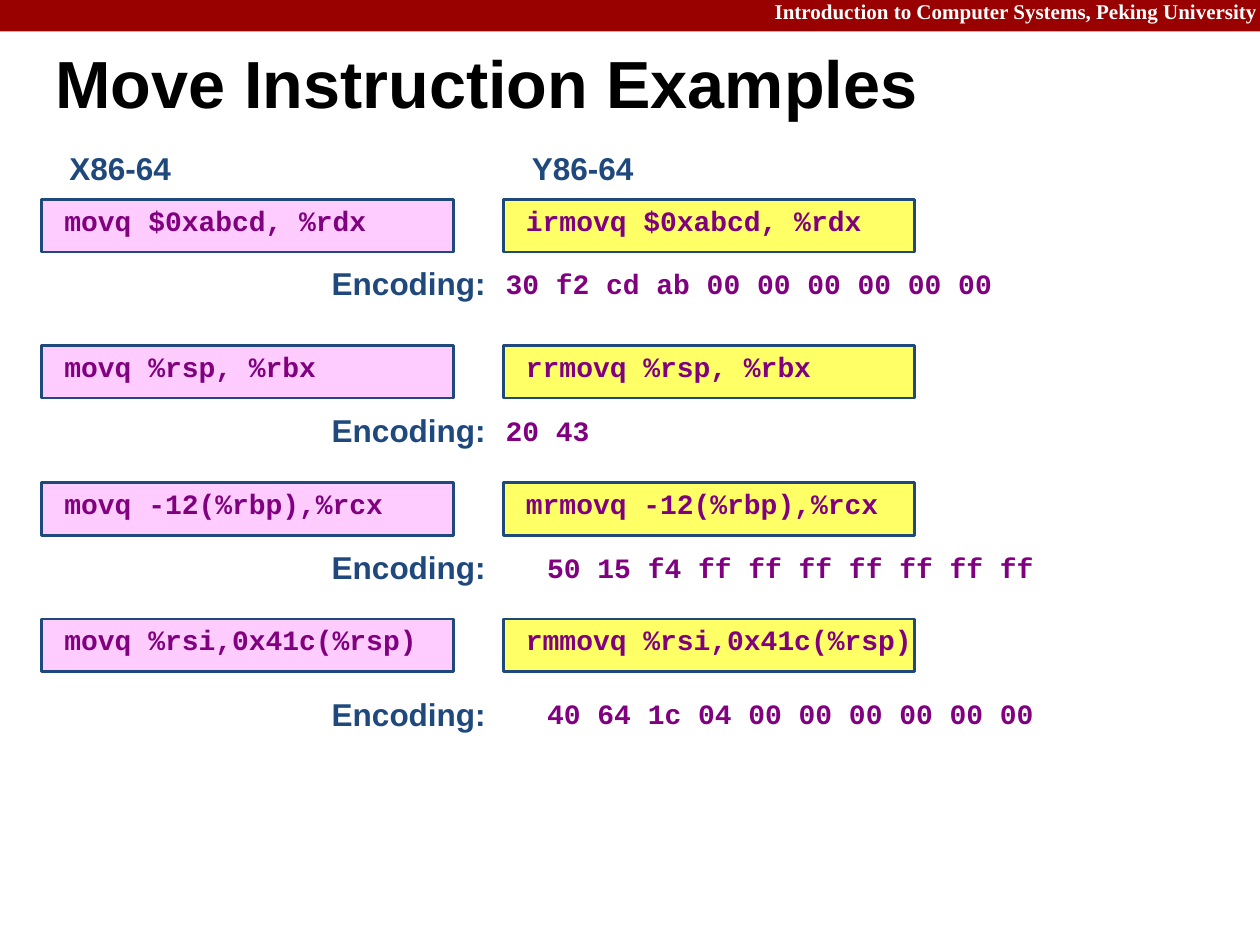
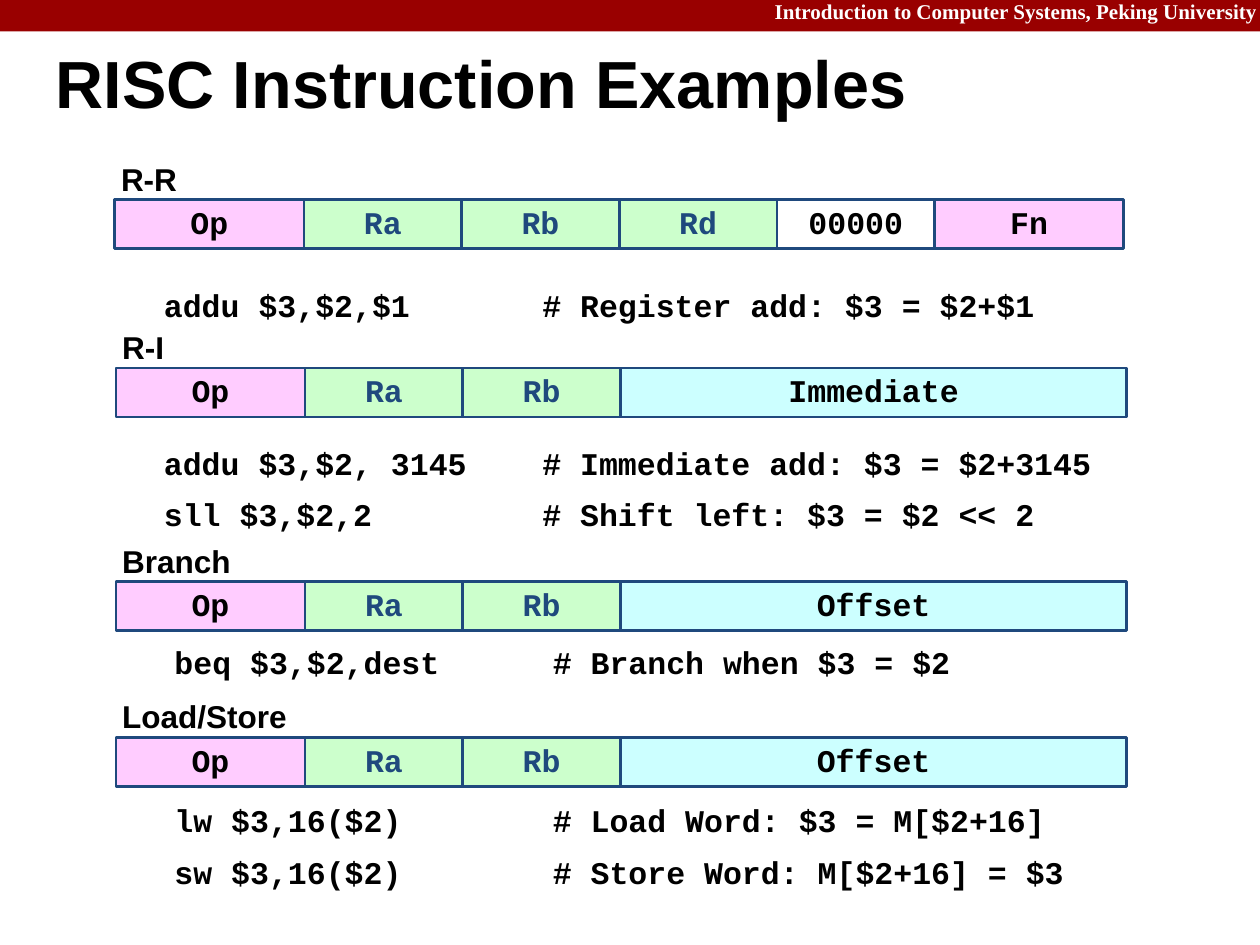
from lxml.etree import SubElement
from pptx import Presentation
from pptx.dml.color import RGBColor
from pptx.enum.shapes import MSO_SHAPE
from pptx.enum.text import MSO_ANCHOR, PP_ALIGN
from pptx.oxml.ns import qn
from pptx.util import Pt

# Shared look
SLIDE_WIDTH, SLIDE_HEIGHT = 719.28, 539.28
SANS, MONO, SERIF = "Arial", "Courier New", "Times New Roman"
BLACK, WHITE, NAVY, PURPLE = "000000", "FFFFFF", "1F497D", "800080"
CRIMSON, PINK, YELLOW, GREEN, CYAN = "990000", "FFCCFF", "FFFF66", "CCFFCC", "CCFFFF"
HEADER = "Introduction to Computer Systems, Peking University"
SMALL_INSETS = (3.6, 3.6, 3.6, 3.6)

# Move instructions: top, X86-64, Y86-64, encoding, left of encoding, drop to encoding
MOVES = [
    (113.8, "movq $0xabcd, %rdx", "irmovq $0xabcd, %rdx",
     "30 f2 cd ab 00 00 00 00 00 00", 281.5, 36),
    (197.3, "movq %rsp, %rbx", "rrmovq %rsp, %rbx", "20 43", 281.5, 36),
    (275.5, "movq -12(%rbp),%rcx", "mrmovq -12(%rbp),%rcx",
     "50 15 f4 ff ff ff ff ff ff ff", 305.3, 36),
    (353.3, "movq %rsi,0x41c(%rsp)", "rmmovq %rsi,0x41c(%rsp)",
     "40 64 1c 04 00 00 00 00 00 00", 305.3, 42),
]

# Instruction fields: text, width, fill, text colour
COMMON_FIELDS = [("Op", 108, PINK, BLACK), ("Ra", 90, GREEN, NAVY), ("Rb", 90, GREEN, NAVY)]
REGISTER_FIELDS = COMMON_FIELDS + [
    ("Rd", 90, GREEN, NAVY), ("00000", 90, WHITE, BLACK), ("Fn", 108, PINK, BLACK)]

# RISC formats: name, left, top, fields, left and top of examples, examples
FORMATS = [
    ("R-R", 65.5, 114, REGISTER_FIELDS, 90, 162,
     ["addu $3,$2,$1\t# Register add: $3 = $2+$1"]),
    ("R-I", 66.2, 210, COMMON_FIELDS + [("Immediate", 289, CYAN, BLACK)], 90, 252,
     ["addu $3,$2, 3145\t# Immediate add: $3 = $2+3145",
      "sll $3,$2,2\t# Shift left: $3 = $2 << 2"]),
    ("Branch", 66.2, 332, COMMON_FIELDS + [("Offset", 289, CYAN, BLACK)], 96, 366,
     ["beq $3,$2,dest\t# Branch when $3 = $2"]),
    ("Load/Store", 66.2, 420.8, COMMON_FIELDS + [("Offset", 289, CYAN, BLACK)], 96, 456,
     ["lw $3,16($2)\t# Load Word: $3 = M[$2+16]",
      "sw $3,16($2)\t# Store Word: M[$2+16] = $3"]),
]


def color(hex_value):
    return RGBColor.from_string(hex_value)


def write(shape, lines, font, size, text_color, insets=SMALL_INSETS, spacing=0.9,
          align=PP_ALIGN.LEFT, anchor=MSO_ANCHOR.MIDDLE, space_before=0, tab=None):
    """Fill a shape with bold text; insets are left, top, right, bottom."""
    frame = shape.text_frame
    frame.word_wrap = True
    frame.vertical_anchor = anchor
    (frame.margin_left, frame.margin_top,
     frame.margin_right, frame.margin_bottom) = map(Pt, insets)
    frame.text = "\n".join(lines)
    for index, paragraph in enumerate(frame.paragraphs):
        if tab:
            tab_list = SubElement(paragraph._p.get_or_add_pPr(), qn("a:tabLst"))
            SubElement(tab_list, qn("a:tab"), pos=str(Pt(tab)), algn="l")
        paragraph.alignment = align
        paragraph.line_spacing = spacing
        if index and space_before:
            paragraph.space_before = Pt(space_before)
        for run in paragraph.runs:
            run.font.name = font
            run.font.size = Pt(size)
            run.font.bold = True
            run.font.color.rgb = color(text_color)


def add_box(slide, left, top, width, height, fill, line=None):
    shape = slide.shapes.add_shape(
        MSO_SHAPE.RECTANGLE, Pt(left), Pt(top), Pt(width), Pt(height))
    shape.shadow.inherit = False
    shape.fill.solid()
    shape.fill.fore_color.rgb = color(fill)
    if line:
        shape.line.color.rgb = color(line)
        shape.line.width = Pt(1.5)
    else:
        shape.line.fill.background()
    return shape


def add_text(slide, left, top, width, height, lines, font, size, text_color, **style):
    shape = slide.shapes.add_textbox(Pt(left), Pt(top), Pt(width), Pt(height))
    write(shape, lines, font, size, text_color, **style)


def add_titled_slide(presentation, title):
    slide = presentation.slides.add_slide(presentation.slide_layouts[6])
    band = add_box(slide, 0, 0, SLIDE_WIDTH, 18, CRIMSON)
    write(band, [HEADER], SERIF, 12, WHITE, insets=(0, 0, 1.5, 3), align=PP_ALIGN.RIGHT)
    add_text(slide, 31.7, 19.5, 685, 61, [title], SANS, 38, BLACK,
             insets=(0, 0, 0, 0), spacing=0.87)
    return slide


def add_move(slide, left, top, x86_code, y86_code, encoding, encoding_left, drop):
    """Place one instruction pair with its encoding below."""
    for offset, code, fill in ((0, x86_code, PINK), (263.5, y86_code, YELLOW)):
        box = add_box(slide, left + offset, top, 235, 30, fill, NAVY)
        write(box, [code], MONO, 16, PURPLE, insets=(13, 0, 0, 6.5), spacing=1)
    add_text(slide, left + 162, top + drop, 100, 27, ["Encoding:"], SANS, 18, NAVY,
             anchor=MSO_ANCHOR.TOP)
    add_text(slide, encoding_left, top + drop, 300, 24, [encoding], MONO, 16, PURPLE,
             insets=(7.2, 3.6, 7.2, 3.6), spacing=1)


def add_format(slide, name, left, top, fields, examples_left, examples_top, examples):
    """Place a format name, its row of fields and its examples."""
    add_text(slide, left, top - 24, 114, 26.5, [name], SANS, 18, BLACK)
    field_left = left
    for text, width, fill, text_color in fields:
        field = add_box(slide, field_left, top, width, 28, fill, NAVY)
        write(field, [text], MONO, 18, text_color, align=PP_ALIGN.CENTER)
        field_left += width
    add_text(slide, examples_left, examples_top, 560, 28.5 * len(examples), examples,
             MONO, 18, BLACK, anchor=MSO_ANCHOR.TOP, space_before=10, tab=216)


def main():
    presentation = Presentation()
    presentation.slide_width = Pt(SLIDE_WIDTH)
    presentation.slide_height = Pt(SLIDE_HEIGHT)

    # Move instructions
    slide = add_titled_slide(presentation, "Move Instruction Examples")
    for left, heading in ((36, "X86-64"), (300, "Y86-64")):
        add_text(slide, left, 84, 80, 27, [heading], SANS, 18, NAVY, anchor=MSO_ANCHOR.TOP)
    for move in MOVES:
        add_move(slide, 23.8, *move)

    # RISC instructions
    slide = add_titled_slide(presentation, "RISC Instruction Examples")
    for instruction_format in FORMATS:
        add_format(slide, *instruction_format)

    presentation.save("out.pptx")


if __name__ == "__main__":
    main()
